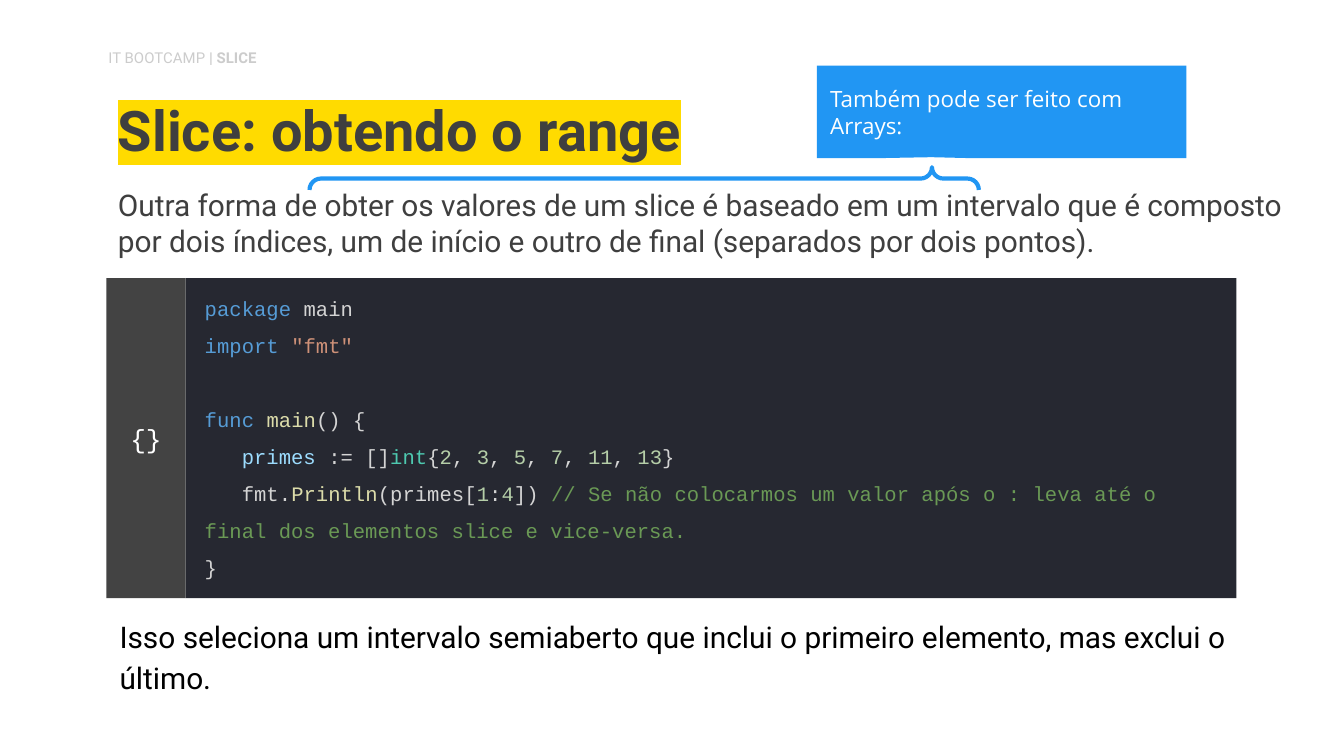
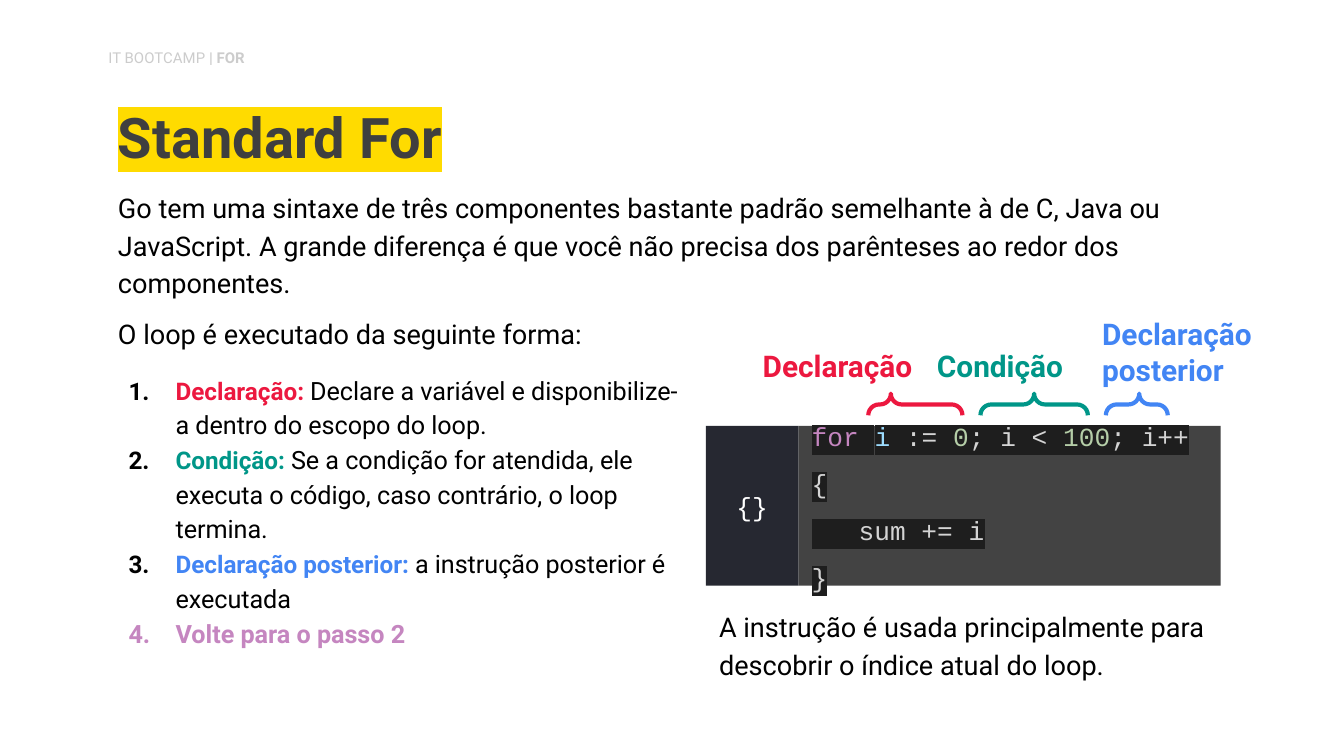
from dataclasses import dataclass

from lxml.etree import SubElement
from pptx import Presentation
from pptx.dml.color import RGBColor
from pptx.enum.shapes import MSO_SHAPE
from pptx.enum.text import MSO_ANCHOR, PP_ALIGN
from pptx.oxml.ns import qn
from pptx.util import Cm, Pt


@dataclass(frozen=True)
class Theme:
    sans: str = "Roboto"
    mono: str = "Courier New"
    callout_font: str = "Open Sans"
    ink: str = "000000"
    gray: str = "3F3F3F"
    header: str = "CCCCCC"
    yellow: str = "FFDB00"
    white: str = "FFFFFF"
    panel: str = "434343"
    night: str = "262831"
    editor: str = "1E1E1E"
    blue: str = "2196F3"
    red: str = "EC183F"
    teal: str = "009688"
    azure: str = "4285F4"
    mauve: str = "C586C0"
    title_pt: float = 30
    large_pt: float = 16
    body_pt: float = 14.5
    item_pt: float = 13.5
    term_pt: float = 13
    code_pt: float = 14
    small_code_pt: float = 11
    callout_pt: float = 12
    header_pt: float = 8
    brace_pt: float = 2.25


T = Theme()
SYNTAX = {"key": "569CD6", "text": "D4D4D4", "str": "CE9178", "func": "DCDCAA",
          "var": "9CDCFE", "type": "4EC9B0", "num": "B5CEA8", "note": "6A9955",
          "loop": T.mauve}

# Slide 1: positions are (left, top, width, height) in centimetres
RANGE_LEAD = ("Outra forma de obter os valores de um slice é baseado em um intervalo "
              "que é composto por dois índices, um de início e outro de final "
              "(separados por dois pontos).")
RANGE_CLOSE = ("Isso seleciona um intervalo semiaberto que inclui o primeiro elemento, "
               "mas exclui o último.")
RANGE_CALLOUT = "Também pode ser feito com Arrays:"
RANGE_CODE = [
    [("key", "package"), ("text", " main")],
    [("key", "import "), ("str", '"fmt"')],
    [],
    [("key", "func "), ("func", "main"), ("text", "() {")],
    [("var", "   primes"), ("text", " := []"), ("type", "int"), ("text", "{"),
     ("num", "2"), ("text", ", "), ("num", "3"), ("text", ", "),
     ("num", "5"), ("text", ", "), ("num", "7"), ("text", ", "),
     ("num", "11"), ("text", ", "), ("num", "13"), ("text", "}")],
    [("text", "   fmt."), ("func", "Println"), ("text", "(primes["), ("num", "1"),
     ("text", ":"), ("num", "4"), ("text", "]) "),
     ("note", "// Se não colocarmos um valor após o : leva até o final dos "
              "elementos slice e vice-versa.")],
    [("text", "}")],
]

# Slide 2
FOR_LEAD = ("Go tem uma sintaxe de três componentes bastante padrão semelhante à de C, "
            "Java ou JavaScript. A grande diferença é que você não precisa dos "
            "parênteses ao redor dos componentes.")
FOR_STEPS_INTRO = "O loop é executado da seguinte forma:"
FOR_STEPS = [
    ("Declaração:", T.red,
     " Declare a variável e disponibilize-a dentro do escopo do loop."),
    ("Condição:", T.teal,
     " Se a condição for atendida, ele executa o código, caso contrário, o loop termina."),
    ("Declaração posterior:", T.azure, " a instrução posterior é executada"),
    ("Volte para o passo 2", T.mauve, ""),
]
FOR_CLOSE = "A instrução é usada principalmente para descobrir o índice atual do loop."
FOR_CODE = [
    [("loop", "for"), ("text", " "), ("var", "i"), ("text", " := "), ("num", "0"),
     ("text", "; i < "), ("num", "100"), ("text", "; i++ {")],
    [("text", "   sum += i")],
    [("text", "}")],
]
# label, colour, label box, alignment, left inset, brace left, brace width, brace tip
FOR_PARTS = [
    ("Declaração", T.red, (13.87, 6.32, 3.81, 0.99), PP_ALIGN.CENTER, 0.36,
     16.41, 1.78, 0.24),
    ("Condição", T.teal, (17.2, 6.32, 3.4, 0.97), PP_ALIGN.CENTER, 0.25,
     18.53, 2.03, 0.5),
    ("Declaração posterior", T.azure, (20.47, 5.72, 4.9, 1.73), PP_ALIGN.LEFT, 0.36,
     20.9, 1.17, 0.54),
]


def rgb(color):
    return RGBColor.from_string(color)


def cm(box):
    return [Cm(v) for v in box]


def add_run(p, text, size, color, font=T.sans, bold=False, highlight=None):
    r = p.add_run()
    r.text = text
    r.font.size, r.font.bold, r.font.name = Pt(size), bold, font
    r.font.color.rgb = rgb(color)
    if highlight:
        rpr = r._r.get_or_add_rPr()
        mark = SubElement(rpr, qn("a:highlight"))
        SubElement(mark, qn("a:srgbClr"), val=highlight)
        rpr.find(qn("a:solidFill")).addnext(mark)


def frame(sp, anchor=MSO_ANCHOR.TOP, left=0.25, top=0.25, bottom=0.25):
    """Set wrapping, anchor and insets, and return the text frame."""
    tf = sp.text_frame
    tf.word_wrap = True
    tf.vertical_anchor = anchor
    tf.margin_left, tf.margin_right = Cm(left), Cm(0.25)
    tf.margin_top, tf.margin_bottom = Cm(top), Cm(bottom)
    return tf


def add_text(s, box, text, size, color=T.ink, spacing=1, align=PP_ALIGN.LEFT,
             anchor=MSO_ANCHOR.TOP, left=0.25, **style):
    """Add a text box holding one evenly formatted paragraph; return its frame."""
    tf = frame(s.shapes.add_textbox(*cm(box)), anchor, left)
    p = tf.paragraphs[0]
    p.alignment, p.line_spacing = align, spacing
    add_run(p, text, size, color, **style)
    return tf


def add_block(s, kind, box, fill):
    sp = s.shapes.add_shape(kind, *cm(box))
    sp.shadow.inherit = False
    sp.fill.solid()
    sp.fill.fore_color.rgb = rgb(fill)
    sp.line.fill.background()
    return sp


def add_brace(s, left, top, width, depth, tip, color):
    """Draw a brace lying flat with its tip upwards; the box is as it shows."""
    x, y = left + (width - depth) / 2, top + (depth - width) / 2
    sp = s.shapes.add_shape(MSO_SHAPE.RIGHT_BRACE, *cm((x, y, depth, width)))
    sp.rotation = 270
    sp.adjustments[0], sp.adjustments[1] = 0.5, tip
    sp.shadow.inherit = False
    sp.fill.background()
    sp.line.color.rgb, sp.line.width = rgb(color), Pt(T.brace_pt)


def add_code(s, box, tab_width, lines, size, fill, tab_fill, left=0.25, highlight=None):
    """Add a code panel with a "{}" tab on its left side."""
    x, y, w, h = box
    panel = add_block(s, MSO_SHAPE.RECTANGLE, (x + tab_width, y, w - tab_width, h), fill)
    tf = frame(panel, MSO_ANCHOR.MIDDLE, left, top=0)
    for i, line in enumerate(lines):
        p = tf.paragraphs[0] if i == 0 else tf.add_paragraph()
        p.alignment, p.line_spacing = PP_ALIGN.LEFT, 1.5
        for token, text in line:
            add_run(p, text, size, SYNTAX[token], T.mono, highlight=highlight)
        if not line:
            SubElement(p._p, qn("a:endParaRPr"), sz=str(size * 100))
    tab = add_block(s, MSO_SHAPE.RECTANGLE, (x, y, tab_width, h), tab_fill)
    p = frame(tab, MSO_ANCHOR.MIDDLE).paragraphs[0]
    p.alignment = PP_ALIGN.CENTER
    add_run(p, "{}", T.code_pt, T.white, T.mono)


def number(p, color):
    ppr = p._p.get_or_add_pPr()
    ppr.set("marL", str(Cm(1.09)))
    ppr.set("indent", str(-Cm(0.89)))
    SubElement(SubElement(ppr, qn("a:buClr")), qn("a:srgbClr"), val=color)
    SubElement(ppr, qn("a:buFont"), typeface=T.sans)
    SubElement(ppr, qn("a:buAutoNum"), type="arabicPeriod")


def add_steps(s, box):
    tf = add_text(s, box, FOR_STEPS_INTRO, T.body_pt, spacing=1.15)
    for i, (term, color, rest) in enumerate(FOR_STEPS):
        p = tf.add_paragraph()
        number(p, T.ink if rest else color)
        p.line_spacing = 1.15
        p.space_before = Pt(0 if i else 11)
        add_run(p, term, T.term_pt if rest else T.item_pt, color, bold=True)
        if rest:
            add_run(p, rest, T.item_pt, T.ink)


def new_slide(prs, topic, title, title_top):
    s = prs.slides.add_slide(prs.slide_layouts[6])
    tf = frame(s.shapes.add_textbox(*cm((1.8, 0.79, 7.98, 0.69))), top=0.13, bottom=0.13)
    p = tf.paragraphs[0]
    add_run(p, "IT BOOTCAMP", T.header_pt, T.header)
    add_run(p, " | " + topic, T.header_pt, T.header, bold=True)
    add_text(s, (1.98, title_top, 21.41, 1.75), title, T.title_pt, T.gray, 0.9,
             anchor=MSO_ANCHOR.BOTTOM, bold=True, highlight=T.yellow)
    return s


def range_slide(prs):
    s = new_slide(prs, "SLICE", "Slice: obtendo o range", 1.6)
    add_text(s, (1.98, 3.28, 22.53, 2.01), RANGE_LEAD, T.large_pt, T.gray)
    add_code(s, (2.01, 5.26, 21.36, 6.05), 1.5, RANGE_CODE, T.small_code_pt,
             T.night, T.panel, left=0.36)
    callout = add_block(s, MSO_SHAPE.ROUNDED_RECTANGULAR_CALLOUT,
                        (15.44, 1.24, 6.98, 1.75), T.blue)
    for i, value in enumerate((-0.19, 0.49, 0)):
        callout.adjustments[i] = value
    p = frame(callout, MSO_ANCHOR.MIDDLE).paragraphs[0]
    p.alignment = PP_ALIGN.LEFT
    add_run(p, RANGE_CALLOUT, T.callout_pt, T.white, T.callout_font)
    add_text(s, (2.01, 11.35, 21.41, 2.01), RANGE_CLOSE, T.large_pt,
             spacing=1.15, align=PP_ALIGN.JUSTIFY)
    add_brace(s, 5.85, 3.16, 12.65, 0.43, 0.93, T.blue)


def for_slide(prs):
    s = new_slide(prs, "FOR", "Standard For", 1.73)
    add_text(s, (1.98, 3.28, 21.41, 2.36), FOR_LEAD, T.body_pt, spacing=1.15)
    add_code(s, (13.34, 8.05, 9.73, 3.02), 1.75, FOR_CODE, T.code_pt,
             T.panel, T.night, highlight=T.editor)
    for label, color, box, align, inset, left, width, tip in FOR_PARTS:
        add_brace(s, left, 7.44, width, 0.41, tip, color)
        add_text(s, box, label, T.large_pt, color, align=align, left=inset, bold=True)
    add_steps(s, (1.98, 5.66, 11.28, 6.71))
    add_text(s, (13.34, 11.2, 9.73, 1.91), FOR_CLOSE, T.body_pt, spacing=1.15)


def main():
    prs = Presentation()
    prs.slide_width, prs.slide_height = Cm(25.4), Cm(14.29)
    range_slide(prs)
    for_slide(prs)
    prs.save("out.pptx")


if __name__ == "__main__":
    main()
